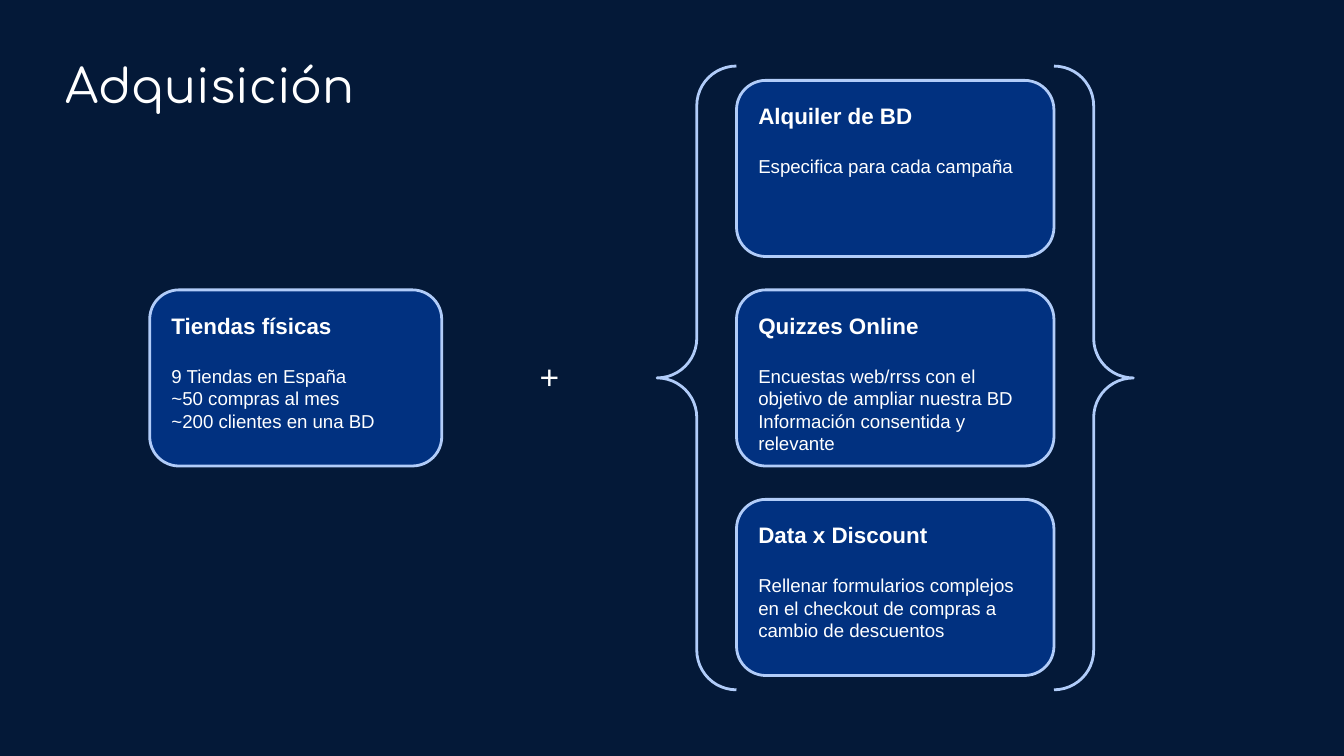
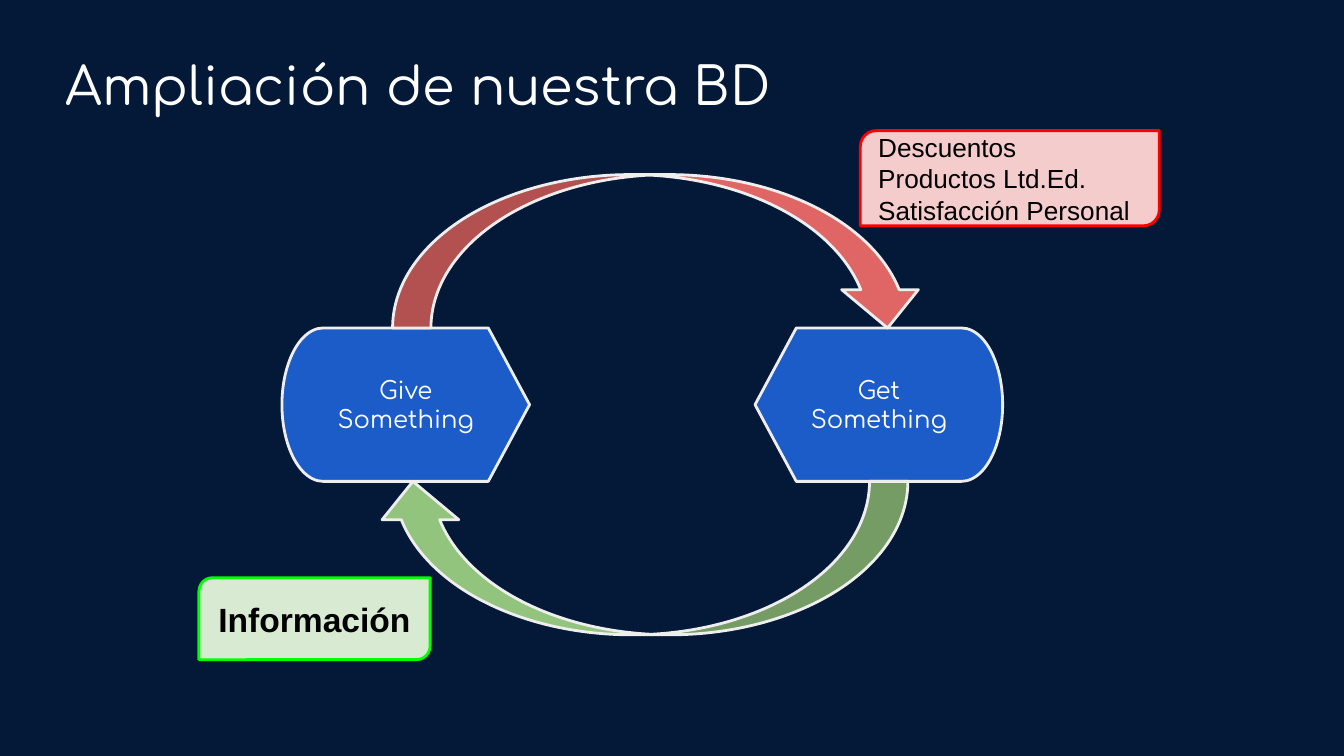
from pptx import Presentation
from pptx.dml.color import RGBColor
from pptx.enum import shapes, text
from pptx.util import Cm, Pt

NAVY = RGBColor(0x04, 0x19, 0x38)
CARD_BLUE = RGBColor(0x01, 0x31, 0x80)
PALE_BLUE = RGBColor(0xB1, 0xCC, 0xF9)
STEP_BLUE = RGBColor(0x1B, 0x5C, 0xC8)
LIGHT_GREY = RGBColor(0xEE, 0xEE, 0xEE)
WHITE = RGBColor(0xFF, 0xFF, 0xFF)
BLACK = RGBColor(0x00, 0x00, 0x00)
GREEN = RGBColor(0x93, 0xC4, 0x7D)
BRIGHT_GREEN = RGBColor(0x00, 0xFF, 0x00)
PALE_GREEN = RGBColor(0xD9, 0xEA, 0xD3)
CORAL = RGBColor(0xE0, 0x66, 0x66)
RED = RGBColor(0xFF, 0x00, 0x00)
PALE_RED = RGBColor(0xF4, 0xCC, 0xCC)

SHAPE = shapes.MSO_SHAPE
ALIGN = text.PP_ALIGN
ANCHOR = text.MSO_ANCHOR
TITLE_ONLY = 5
MARGIN = Cm(0.25)

HEADING = {"name": "Arial", "size": Pt(12), "bold": True}
DETAIL = {"name": "Arial", "size": Pt(10), "bold": False}
PLUS = {"name": "Arial", "size": Pt(18)}
STEP = {"name": "Comfortaa", "size": Pt(13)}
REWARD = {"name": "Arial", "size": Pt(14)}
DATA = {"name": "Arial", "size": Pt(18), "bold": True}

CARD_HEIGHT, CARD_GAP = 3.33, 0.63
STORES = ("Tiendas físicas", ["9 Tiendas en España", "~50 compras al mes",
                              "~200 clientes en una BD"])
SOURCES = [
    ("Alquiler de BD", ["Especifica para cada campaña"]),
    ("Quizzes Online", ["Encuestas web/rrss con el objetivo de ampliar nuestra BD",
                        "Información consentida y relevante"]),
    ("Data x Discount", ["Rellenar formularios complejos en el checkout de compras "
                         "a cambio de descuentos"]),
]


def write(shape, lines, color, align=ALIGN.LEFT, anchor=ANCHOR.TOP):
    """Fill a shape with (wording, font format) lines, one paragraph each."""
    frame = shape.text_frame
    settings = {"word_wrap": True, "vertical_anchor": anchor}
    for side in ("left", "right", "top", "bottom"):
        settings["margin_" + side] = MARGIN
    for key, value in settings.items():
        setattr(frame, key, value)
    for index, (wording, style) in enumerate(lines):
        para = frame.paragraphs[0] if index == 0 else frame.add_paragraph()
        para.alignment = align
        span = para.add_run()
        span.text = wording
        span.font.color.rgb = color
        for key, value in style.items():
            setattr(span.font, key, value)


def add_outlined(page, kind, box, fill, line, flip=False):
    """Add a preset shape; box is left, top, width, height in centimetres."""
    shape = page.shapes.add_shape(kind, *map(Cm, box))
    shape.shadow.inherit = False
    if fill is None:
        shape.fill.background()
    else:
        shape.fill.solid()
        shape.fill.fore_color.rgb = fill
    shape.line.color.rgb = line
    shape.line.width = Pt(1.5)
    if flip:
        shape._element.spPr.get_or_add_xfrm().set("flipH", "1")
    return shape


def add_page(deck, heading, size):
    page = deck.slides.add_slide(deck.slide_layouts[TITLE_ONLY])
    title = page.shapes.title
    place = {"left": 0.99, "top": 0.74, "width": 22.25, "height": 1.73}
    for key, value in place.items():
        setattr(title, key, Cm(value))
    style = {"name": "Comfortaa", "size": Pt(size)}
    write(title, [(heading, style)], WHITE, anchor=ANCHOR.MIDDLE)
    return page


def add_card(page, box, heading, details):
    card = add_outlined(page, SHAPE.ROUNDED_RECTANGLE, box, CARD_BLUE, PALE_BLUE)
    lines = [(heading, HEADING)] + [(detail, DETAIL) for detail in details]
    write(card, lines, WHITE)
    card.text_frame.paragraphs[1].space_before = Pt(14)


def add_sources(page, left, top, width):
    """Stack the source cards and enclose them in braces."""
    pitch = CARD_HEIGHT + CARD_GAP
    height = len(SOURCES) * pitch - CARD_GAP
    side, end = 1.5, 0.27
    brace = (left - side, top - end, width + 2 * side, height + 2 * end)
    add_outlined(page, SHAPE.DOUBLE_BRACE, brace, None, PALE_BLUE)
    for row, (heading, details) in enumerate(SOURCES):
        add_card(page, (left, top + row * pitch, width, CARD_HEIGHT), heading, details)


def build_acquisition(deck):
    page = add_page(deck, "Adquisición", 25.2)
    top = 1.52
    add_sources(page, 13.92, top, 6)
    middle_top = top + CARD_HEIGHT + CARD_GAP
    add_card(page, (2.83, middle_top, 5.52, CARD_HEIGHT), *STORES)
    plus = page.shapes.add_textbox(Cm(9.95), Cm(6.48), Cm(0.87), Cm(1.32))
    write(plus, [("+", PLUS)], WHITE)


def add_cycle(page, left, top):
    """Draw two steps joined by a curved arrow above and one below."""
    width, height = 4.68, 2.9
    steps = [("Give Something", 0, True), ("Get Something", 8.94, False)]
    for wording, offset, flip in steps:
        step = add_outlined(page, SHAPE.FLOWCHART_DISPLAY,
                            (left + offset, top, width, height),
                            STEP_BLUE, LIGHT_GREY, flip)
        write(step, [(wording, STEP)], WHITE, ALIGN.CENTER, ANCHOR.MIDDLE)
    arrows = [(1.75, height, GREEN, 0), (2.09, -height, CORAL, 180)]
    for across, down, fill, turn in arrows:
        arrow = add_outlined(page, SHAPE.CURVED_UP_ARROW,
                             (left + across, top + down, 10.08, height),
                             fill, LIGHT_GREY, flip=True)
        arrow.rotation = turn


def add_note(page, box, fill, line, lines, align):
    note = add_outlined(page, SHAPE.ROUND_2_DIAG_RECTANGLE, box, fill, line)
    write(note, lines, BLACK, align, ANCHOR.MIDDLE)


def build_growth(deck):
    page = add_page(deck, "Ampliación de nuestra BD", 28)
    add_cycle(page, 5.33, 6.2)
    add_note(page, (3.76, 10.92, 4.37, 1.55), PALE_GREEN, BRIGHT_GREEN,
             [("Información", DATA)], ALIGN.CENTER)
    rewards = ["Descuentos", "Productos Ltd.Ed.", "Satisfacción Personal"]
    add_note(page, (16.26, 2.47, 5.65, 1.8), PALE_RED, RED,
             [(reward, REWARD) for reward in rewards], ALIGN.LEFT)


def main():
    deck = Presentation()
    deck.slide_width, deck.slide_height = Cm(25.4), Cm(14.29)
    backdrop = deck.slide_master.background.fill
    backdrop.solid()
    backdrop.fore_color.rgb = NAVY
    build_acquisition(deck)
    build_growth(deck)
    deck.save("out.pptx")


if __name__ == "__main__":
    main()
